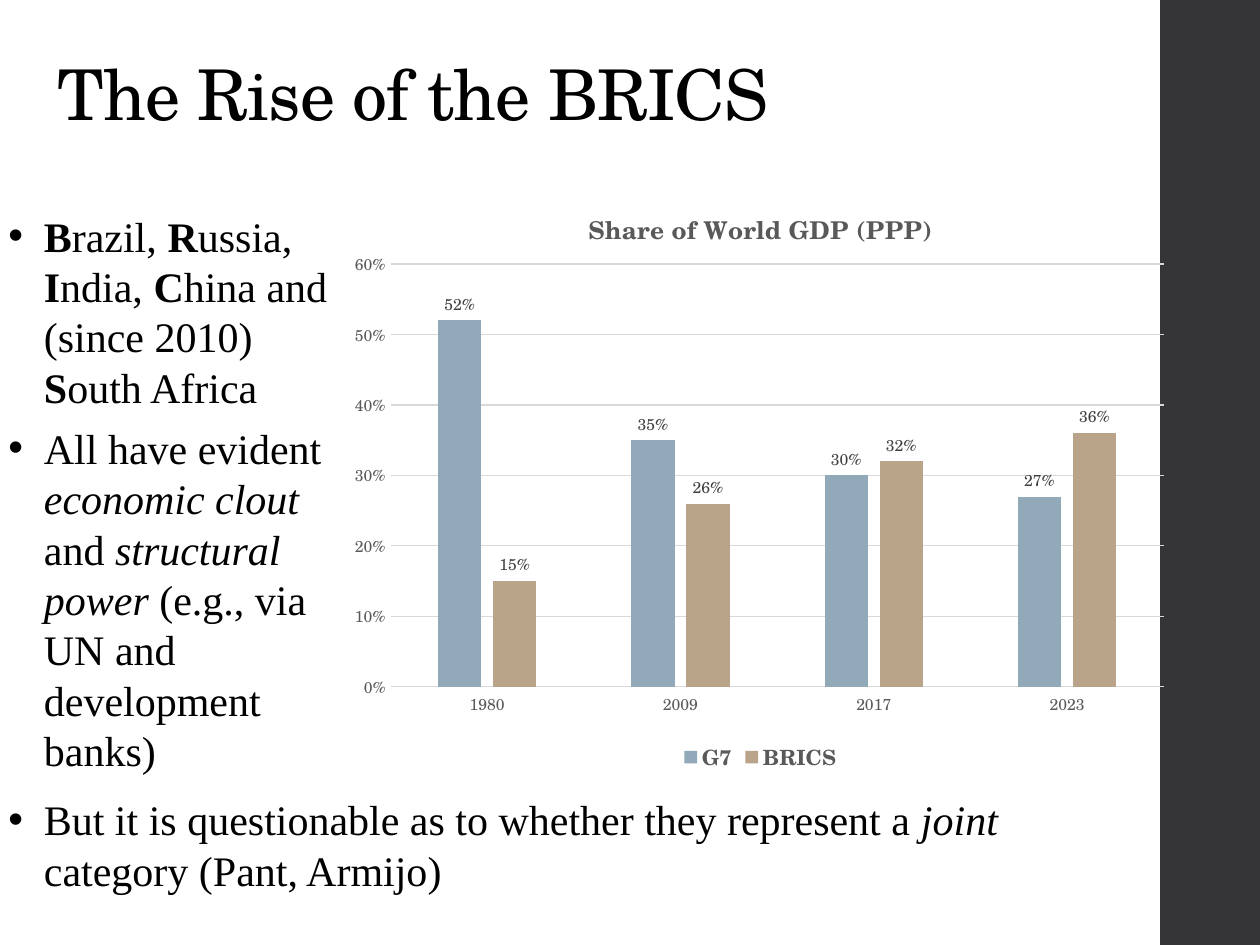
from lxml import etree
from pptx import Presentation
from pptx.chart.data import CategoryChartData
from pptx.dml.color import RGBColor
from pptx.enum.chart import XL_CHART_TYPE, XL_LABEL_POSITION, XL_LEGEND_POSITION, XL_TICK_MARK
from pptx.enum.shapes import MSO_SHAPE
from pptx.enum.text import MSO_ANCHOR
from pptx.oxml import parse_xml
from pptx.oxml.ns import nsdecls, qn
from pptx.util import Pt

COLUMNS = XL_CHART_TYPE.COLUMN_CLUSTERED
OUTSIDE = XL_LABEL_POSITION.OUTSIDE_END
BOTTOM = XL_LEGEND_POSITION.BOTTOM
NO_TICKS = XL_TICK_MARK.NONE
BLACK = RGBColor(0x00, 0x00, 0x00)
CHARCOAL = RGBColor(0x35, 0x35, 0x37)
GREY = RGBColor(0x59, 0x59, 0x59)
LABEL_GREY = RGBColor(0x40, 0x40, 0x40)
GRID_GREY = RGBColor(0xD9, 0xD9, 0xD9)
BLUE = RGBColor(0x92, 0xA9, 0xB9)
TAN = RGBColor(0xB9, 0xA4, 0x89)
HEADING_FONT = "TeX Gyre Schola"
BODY_FONT = "Times New Roman"

TITLE = "The Rise of the BRICS"
# Each bullet is a list of (text, style); style is "b", "i" or "".
MEMBERS = [("B", "b"), ("razil, ", ""), ("R", "b"), ("ussia, ", ""), ("I", "b"), ("ndia, ", ""),
           ("C", "b"), ("hina and (since 2010) ", ""), ("S", "b"), ("outh Africa", "")]
POWER = [("All have evident ", ""), ("economic clout ", "i"), ("and ", ""),
         ("structural power ", "i"), ("(e.g., via UN and development banks)", "")]
DOUBT = [("But it is questionable as to whether they represent a ", ""), ("joint ", "i"),
         ("category (Pant, Armijo)", "")]
CHART_TITLE = "Share of World GDP (PPP)"
YEARS = ["1980", "2009", "2017", "2023"]
SHARES = [("G7", [0.52, 0.35, 0.30, 0.27], BLUE),
          ("BRICS", [0.15, 0.26, 0.32, 0.36], TAN)]

# Left, top, width, height in points
SIDEBAR = (663, 0, 57.6, 540)
TITLE_BOX = (26, 28.8, 621.4, 54)
SIDE_BULLETS = (-2.2, 116.6, 208.8, 333.4)
LOWER_BULLETS = (-2.2, 450, 662.4, 65.5)
CHART_BOX = (194.4, 95, 480.2, 350)


def place(box):
    return [Pt(value) for value in box]


def style_font(font, size, color, name=HEADING_FONT, bold=False):
    font.size, font.name, font.bold = Pt(size), name, bold
    font.color.rgb = color


def add_text_frame(page, box):
    frame = page.shapes.add_textbox(*place(box)).text_frame
    frame.word_wrap = True
    return frame


def add_bullets(page, box, bullets):
    frame = add_text_frame(page, box)
    for index, spans in enumerate(bullets):
        para = frame.paragraphs[0] if index == 0 else frame.add_paragraph()
        para.space_after = Pt(6)
        props = para._p.get_or_add_pPr()
        props.set("marL", str(Pt(20.25)))
        props.set("indent", str(-Pt(20.25)))
        etree.SubElement(props, qn("a:buFont")).set("typeface", "Arial")
        etree.SubElement(props, qn("a:buChar")).set("char", "•")
        for text, style in spans:
            span = para.add_run()
            span.text = text
            style_font(span.font, 24, BLACK, BODY_FONT, bold=style == "b")
            span.font.italic = style == "i"


def layout_xml(**parts):
    """Manual chart layout, as fractions of the chart area."""
    target = '<c:layoutTarget val="inner"/>' if "w" in parts else ""
    modes = "".join(f'<c:{key}Mode val="edge"/>' for key in "xy")
    values = "".join(f'<c:{key} val="{value}"/>' for key, value in parts.items())
    return parse_xml(f'<c:layout {nsdecls("c")}><c:manualLayout>{target}{modes}{values}'
                     '</c:manualLayout></c:layout>')


def set_layout(parent, layout, after=None):
    for old in parent.findall(qn("c:layout")):
        parent.remove(old)
    if after is None:
        parent.insert(0, layout)
    else:
        after.addnext(layout)


def add_share_chart(page):
    data = CategoryChartData(number_format="0%")
    data.categories = YEARS
    for name, values, _ in SHARES:
        data.add_series(name, values)
    chart = page.shapes.add_chart(COLUMNS, *place(CHART_BOX), data).chart
    style_font(chart.font, 10, BLACK)

    title = chart.chart_title
    title.text_frame.text = CHART_TITLE
    style_font(title.text_frame.paragraphs[0].runs[0].font, 14, GREY, bold=True)
    title_xml = title._element
    set_layout(title_xml, layout_xml(x=0.29, y=0.06), title_xml.find(qn("c:tx")))
    set_layout(chart._chartSpace.chart.plotArea, layout_xml(x=0.06, y=0.16, w=0.92, h=0.69))

    chart.has_legend = True
    chart.legend.position = BOTTOM
    chart.legend.include_in_layout = False
    style_font(chart.legend.font, 12, GREY, bold=True)

    for axis in (chart.category_axis, chart.value_axis):
        axis.major_tick_mark = axis.minor_tick_mark = NO_TICKS
        style_font(axis.tick_labels.font, 9, GREY)
    shares = chart.value_axis
    shares.minimum_scale, shares.maximum_scale, shares.major_unit = 0, 0.6, 0.1
    shares.tick_labels.number_format = "0%"
    shares.tick_labels.number_format_is_linked = False
    shares.format.line.fill.background()
    for line in (chart.category_axis.format.line, shares.major_gridlines.format.line):
        line.color.rgb = GRID_GREY
        line.width = Pt(0.75)

    plot = chart.plots[0]
    plot.gap_width, plot.overlap, plot.vary_by_categories = 219, -27, False
    for series, (_, _, color) in zip(plot.series, SHARES):
        series.format.fill.solid()
        series.format.fill.fore_color.rgb = color
        labels = series.data_labels
        labels.show_value = True
        labels.position = OUTSIDE
        style_font(labels.font, 9, LABEL_GREY)


def main():
    deck = Presentation()
    deck.slide_width, deck.slide_height = Pt(720), Pt(540)
    page = deck.slides.add_slide(deck.slide_layouts[6])

    sidebar = page.shapes.add_shape(MSO_SHAPE.RECTANGLE, *place(SIDEBAR))
    sidebar.shadow.inherit = False
    sidebar.fill.solid()
    sidebar.fill.fore_color.rgb = CHARCOAL
    sidebar.line.fill.background()

    add_bullets(page, SIDE_BULLETS, [MEMBERS, POWER])
    add_share_chart(page)

    frame = add_text_frame(page, TITLE_BOX)
    frame.vertical_anchor = MSO_ANCHOR.MIDDLE
    para = frame.paragraphs[0]
    para.line_spacing = 0.9
    span = para.add_run()
    span.text = TITLE
    style_font(span.font, 40, BLACK)
    span.font._element.set("spc", "-50")

    add_bullets(page, LOWER_BULLETS, [DOUBT])
    deck.save("out.pptx")


if __name__ == "__main__":
    main()
